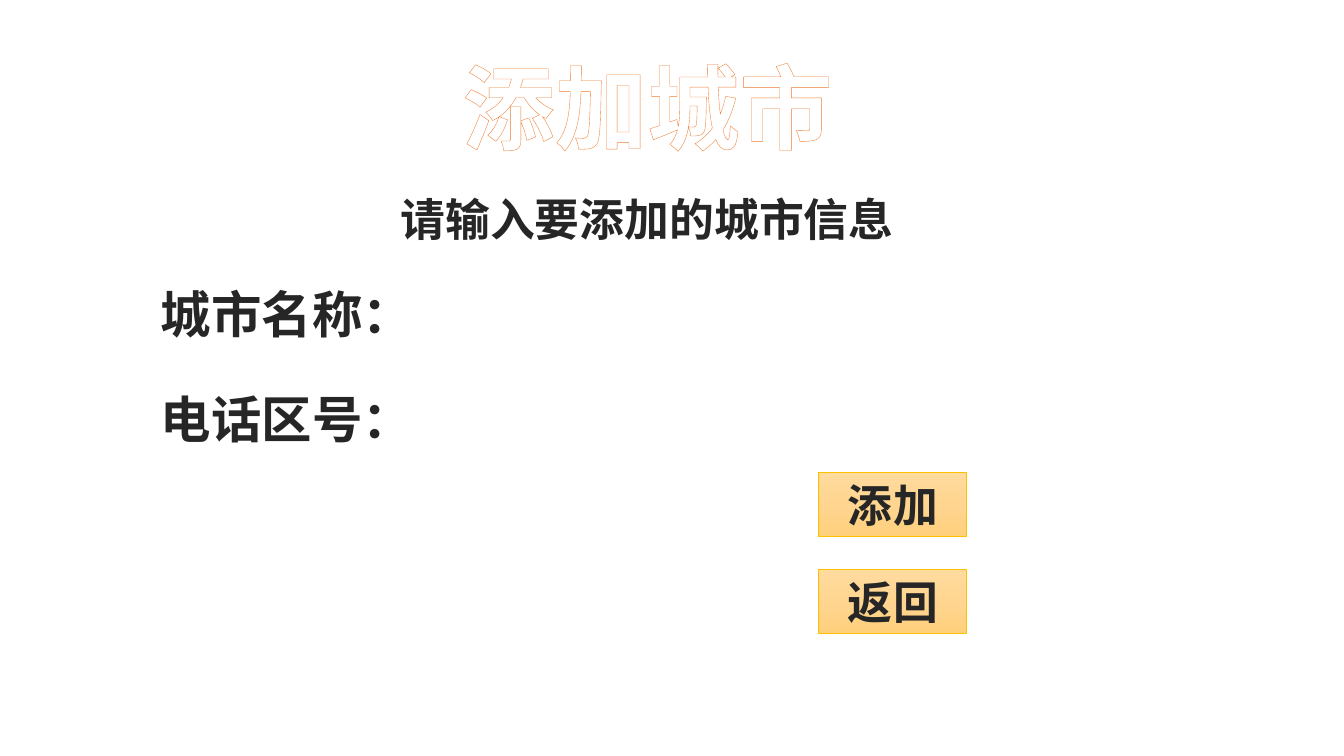
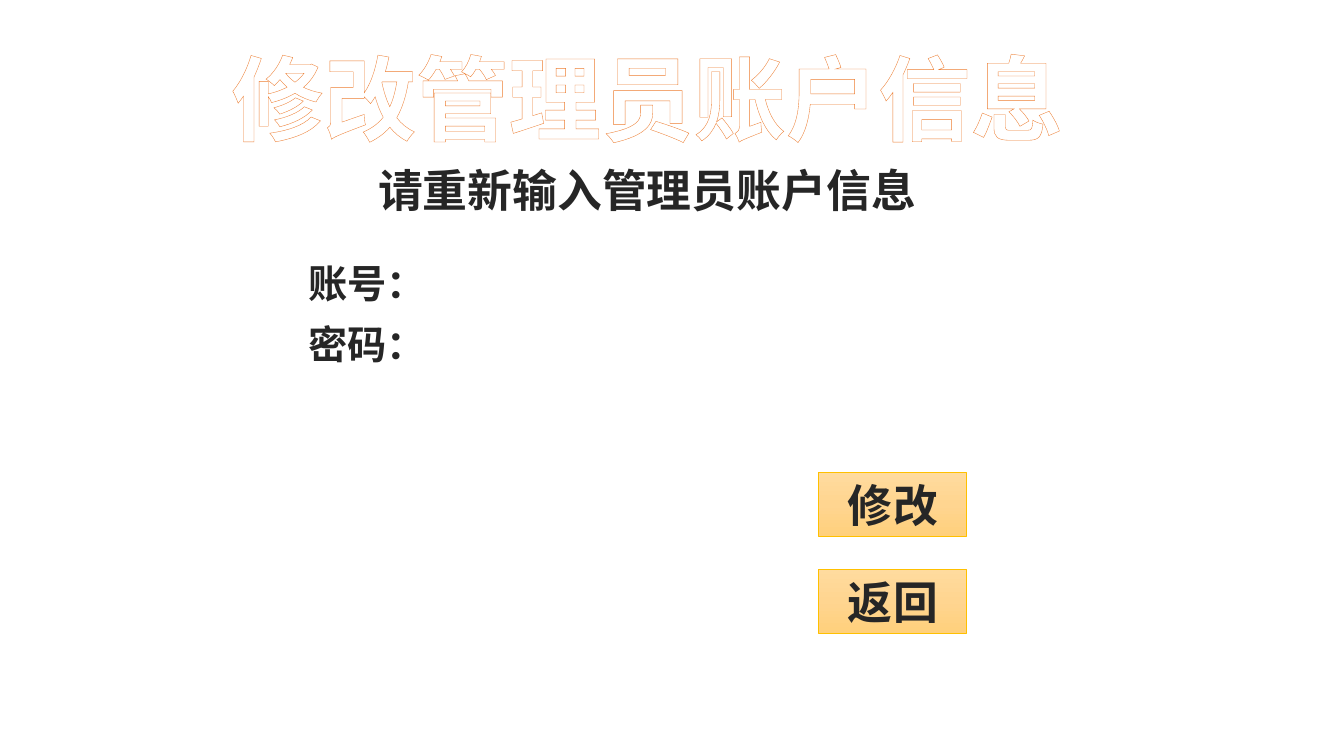
from lxml import etree
from pptx import Presentation
from pptx import util as u
from pptx.dml.color import RGBColor
from pptx.enum import shapes, text
from pptx.oxml.ns import qn

PX = 9144  # EMU in one px, 100 px to the inch
FONT = "Noto Sans CJK SC"
WHITE, INK, ORANGE, GOLD = "FFFFFF", "262626", "ED7D31", "FFC000"
BUTTON_STOPS = ((0, "FFDB9E"), (50, "FFD590"), (100, "FFD07C"))
CENTER = 642
BUTTON_BOX, BUTTON_PITCH = (812, 469, 147, 63), 96


def rgb(value):
    return RGBColor.from_string(value)


def px(box):
    return [n * PX for n in box]


def sub(parent, tag, **attrs):
    return etree.SubElement(parent, qn(tag), attrs)


def write(tf, words, size, color=INK, outline=(WHITE, 1.06), spacing=None):
    p = tf.paragraphs[0]
    p.alignment = text.PP_ALIGN.CENTER
    r = p.add_run()
    r.text = words
    r.font.size, r.font.bold, r.font.name = u.Pt(size), True, FONT
    r.font.color.rgb = rgb(color)
    props = r.font._element
    sub(props, "a:ea", typeface=FONT)
    if spacing:
        props.set("spc", str(int(spacing * 100)))
    line_color, width = outline
    ln = sub(props, "a:ln", w=str(int(u.Pt(width))))
    sub(sub(ln, "a:solidFill"), "a:srgbClr", val=line_color)
    props.insert(0, ln)


def add_text(slide, box, words, size, wrap=True, **style):
    tf = slide.shapes.add_textbox(*px(box)).text_frame
    tf.word_wrap = wrap
    tf.auto_size = text.MSO_AUTO_SIZE.SHAPE_TO_FIT_TEXT
    write(tf, words, size, **style)


def add_title(slide, words, top, width):
    box = (CENTER - width // 2, top, width, 121)
    add_text(slide, box, words, 66, color=WHITE, outline=(ORANGE, 0.52))


def add_prompt(slide, words, top):
    add_text(slide, (CENTER - 358, top, 716, 64), words, 32)


def add_labels(slide, labels, box, pitch, size):
    left, top, width, height = box
    for i, label in enumerate(labels):
        add_text(slide, (left, top + i * pitch, width, height), label, size, wrap=False)


def fill_gradient(sp, stops):
    sp.fill.gradient()
    sp.fill.gradient_angle = 270
    gs_list = sp._element.spPr.find(qn("a:gradFill")).find(qn("a:gsLst"))
    for gs in list(gs_list):
        gs_list.remove(gs)
    for percent, color in stops:
        sub(sub(gs_list, "a:gs", pos=str(percent * 1000)), "a:srgbClr", val=color)


def add_buttons(slide, names):
    left, top, width, height = BUTTON_BOX
    for i, name in enumerate(names):
        box = (left, top + i * BUTTON_PITCH, width, height)
        sp = slide.shapes.add_shape(shapes.MSO_SHAPE.RECTANGLE, *px(box))
        sp.shadow.inherit = False
        fill_gradient(sp, BUTTON_STOPS)
        sp.line.color.rgb = rgb(GOLD)
        sp.line.width = u.Pt(0.5)
        sp.text_frame.vertical_anchor = text.MSO_ANCHOR.MIDDLE
        write(sp.text_frame, name, 32, spacing=0.5)


def add_form(prs, title, prompt, labels, buttons):
    """Add a slide with a title, a prompt, field labels and a column of buttons."""
    slide = prs.slides.add_slide(prs.slide_layouts[6])
    add_title(slide, **title)
    add_prompt(slide, **prompt)
    add_labels(slide, **labels)
    add_buttons(slide, buttons)


def main():
    prs = Presentation()
    prs.slide_width, prs.slide_height = px((1333, 750))
    add_form(
        prs,
        title=dict(words="添加城市", top=45, width=668),
        prompt=dict(words="请输入要添加的城市信息", top=185),
        labels=dict(labels=("城市名称：", "电话区号："),
                    box=(148, 276, 273, 71), pitch=104, size=36),
        buttons=("添加", "返回"),
    )
    add_form(
        prs,
        title=dict(words="修改管理员账户信息", top=36, width=868),
        prompt=dict(words="请重新输入管理员账户信息", top=157),
        labels=dict(labels=("账号：", "密码："),
                    box=(295, 252, 138, 57), pitch=61, size=28),
        buttons=("修改", "返回"),
    )
    prs.save("out.pptx")


if __name__ == "__main__":
    main()
